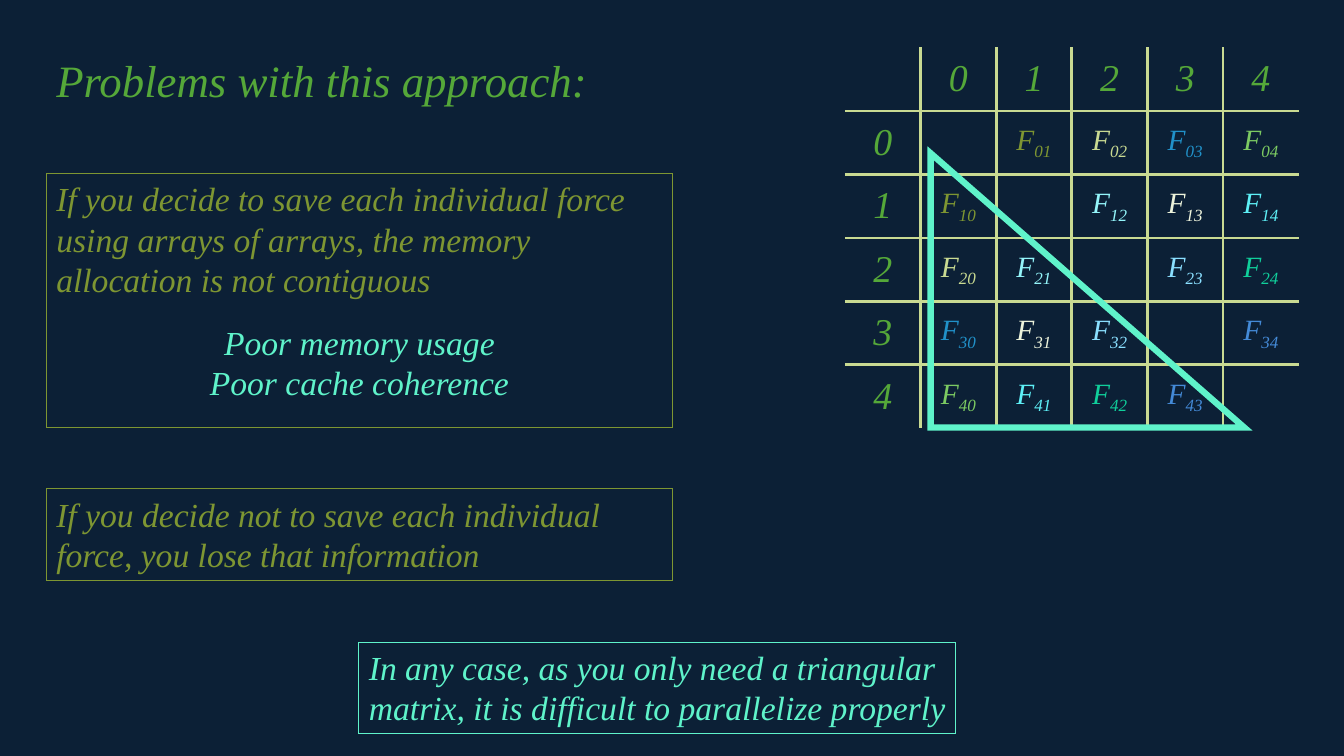
from lxml import etree
from pptx import Presentation
from pptx.dml.color import RGBColor
from pptx.enum.shapes import MSO_SHAPE
from pptx.enum.text import MSO_ANCHOR, PP_ALIGN
from pptx.oxml import parse_xml
from pptx.oxml.ns import nsdecls, qn
from pptx.util import Pt

RECT, TRIANGLE = MSO_SHAPE.RECTANGLE, MSO_SHAPE.RIGHT_TRIANGLE
LEFT, CENTER = PP_ALIGN.LEFT, PP_ALIGN.CENTER
TOP, MIDDLE = MSO_ANCHOR.TOP, MSO_ANCHOR.MIDDLE

NAVY = RGBColor(0x0C, 0x20, 0x36)
GREEN = RGBColor(0x55, 0xA8, 0x39)
OLIVE = RGBColor(0x7E, 0x96, 0x32)
MINT = RGBColor(0x5F, 0xF3, 0xCA)
GRID = RGBColor(0xC9, 0xDA, 0x92)

# One colour for each pair of particles, shared by Fij and Fji
PAIR_COLOURS = {
    (0, 1): OLIVE,
    (0, 2): GRID,
    (0, 3): RGBColor(0x21, 0x91, 0xC9),
    (0, 4): RGBColor(0x7C, 0xCA, 0x62),
    (1, 2): RGBColor(0x94, 0xF5, 0xFA),
    (1, 3): RGBColor(0xED, 0xF3, 0xDB),
    (1, 4): RGBColor(0x5E, 0xF0, 0xF7),
    (2, 3): RGBColor(0x8A, 0xDF, 0xFF),
    (2, 4): RGBColor(0x10, 0xCF, 0x9B),
    (3, 4): RGBColor(0x44, 0x8A, 0xD7),
}


def px(n):
    """100 px to the inch."""
    return n * 9144


def write(tf, text, size=24, color=OLIVE, align=LEFT, sub=""):
    """Fill a text frame, one paragraph a line, with an optional subscript."""
    for i, line in enumerate(text.split("\n")):
        p = tf.add_paragraph() if i else tf.paragraphs[0]
        p.alignment = align
        for part in filter(None, (line, sub)):
            r = p.add_run()
            r.text = part
            r.font.name = "Times New Roman"
            r.font.size = Pt(size)
            r.font.italic = True
            r.font.color.rgb = color
            if part is sub:
                r.font._element.set("baseline", "-25000")


class Deck:
    font_size = 24
    box_line = 0.75
    grid_line = 2.25

    def __init__(self, width, height):
        self.prs = Presentation()
        self.prs.slide_width, self.prs.slide_height = px(width), px(height)
        self.s = self.prs.slides.add_slide(self.prs.slide_layouts[6])
        fill = self.s.background.fill
        fill.solid()
        fill.fore_color.rgb = NAVY

    def text(self, x, y, w, h, text, **fmt):
        tf = self.s.shapes.add_textbox(px(x), px(y), px(w), px(h)).text_frame
        tf.word_wrap = True
        write(tf, text, **fmt)

    def outline(self, kind, x, y, w, h, color, weight):
        sp = self.s.shapes.add_shape(kind, px(x), px(y), px(w), px(h))
        sp.shadow.inherit = False
        sp.fill.background()
        sp.line.color.rgb = color
        sp.line.width = Pt(weight)
        miter = etree.SubElement(sp.line._get_or_add_ln(), qn("a:miter"))
        miter.set("lim", "800000")
        return sp

    def box(self, x, y, w, h, text, color):
        sp = self.outline(RECT, x, y, w, h, color, self.box_line)
        tf = sp.text_frame
        tf.word_wrap = True
        tf.vertical_anchor = TOP
        write(tf, text, size=self.font_size, color=color)

    def border(self, cell, sides):
        """Rule the sides of a cell that are True; clear the others."""
        tcPr = cell._tc.get_or_add_tcPr()
        for i, (side, shown) in enumerate(sides.items()):
            paint = (f'<a:solidFill><a:srgbClr val="{GRID}"/></a:solidFill>'
                     if shown else "<a:noFill/>")
            tcPr.insert(i, parse_xml(
                f'<a:ln{side} {nsdecls("a")} w="{Pt(self.grid_line)}">'
                f"{paint}</a:ln{side}>"))

    def force_matrix(self, x, y, col_w, row_h, n):
        last = n
        frame = self.s.shapes.add_table(n + 1, n + 1, px(x), px(y),
                                        px(col_w * (n + 1)), px(row_h * (n + 1)))
        table = frame.table
        table.first_row = table.horz_banding = False
        for col in table.columns:
            col.width = px(col_w)
        for row in table.rows:
            row.height = px(row_h)
        for r in range(n + 1):
            for c in range(n + 1):
                cell = table.cell(r, c)
                cell.fill.background()
                cell.vertical_anchor = MIDDLE
                cell.margin_left = cell.margin_right = px(7)
                cell.margin_top = cell.margin_bottom = px(4)
                self.border(cell, {"L": c > 0, "R": c < last,
                                   "T": r > 0, "B": r < last})
                if r == c:
                    continue
                if r == 0 or c == 0:  # index headings
                    write(cell.text_frame, str(r + c - 1), size=27,
                          color=GREEN, align=CENTER)
                else:  # force of one particle on another
                    pair = (min(r, c) - 1, max(r, c) - 1)
                    write(cell.text_frame, "F", size=21, align=CENTER,
                          color=PAIR_COLOURS[pair], sub=f"{r - 1}{c - 1}")


def main():
    d = Deck(1333, 750)

    # Force matrix
    d.force_matrix(838, 47, 75, 63, 5)

    # Title
    d.text(46, 47, 621, 64, "Problems with this approach:", size=32, color=GREEN)

    # Problems
    d.box(46, 172, 621, 252, "If you decide to save each individual force using "
          "arrays of arrays, the memory allocation is not contiguous", OLIVE)
    d.text(46, 314, 621, 91, "Poor memory usage\nPoor cache coherence",
           color=MINT, align=CENTER)
    d.box(46, 485, 621, 91, "If you decide not to save each individual force, "
          "you lose that information", OLIVE)

    # Conclusion
    d.box(356, 637, 592, 91, "In any case, as you only need a triangular matrix, "
          "it is difficult to parallelize properly", MINT)

    # Lower triangle of the matrix
    d.outline(TRIANGLE, 923, 152, 311, 272, MINT, 4.5)

    d.prs.save("out.pptx")


if __name__ == "__main__":
    main()
